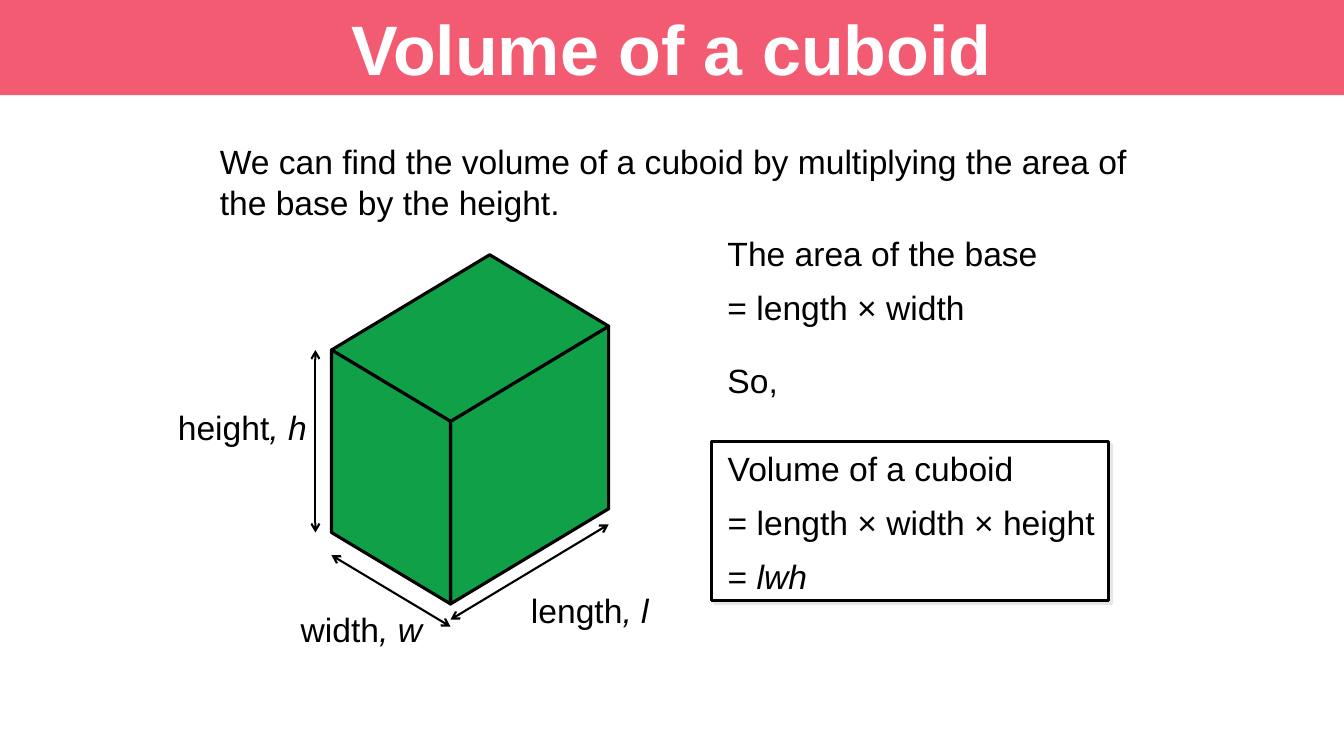
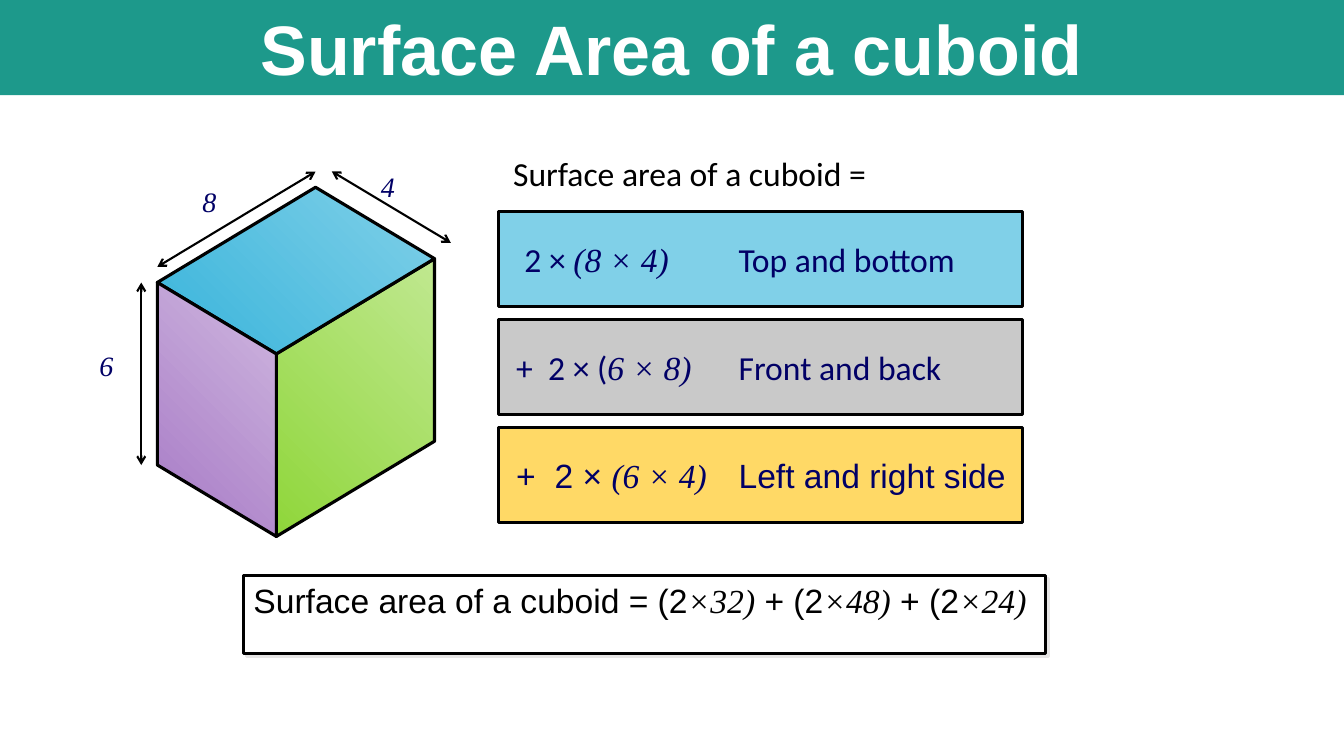
from dataclasses import dataclass, field

from lxml.etree import SubElement as Sub
from pptx import Presentation
from pptx.dml.color import RGBColor as Rgb
from pptx.enum.shapes import MSO_CONNECTOR as Link, MSO_SHAPE as Kind
from pptx.enum.text import MSO_ANCHOR as Anchor, MSO_AUTO_SIZE as Auto, PP_ALIGN as Align
from pptx.oxml.ns import qn
from pptx.shapes.base import BaseShape
from pptx.slide import Slide
from pptx.text.text import TextFrame
from pptx.util import Pt

BLACK = Rgb(0x00, 0x00, 0x00)
WHITE = Rgb(0xFF, 0xFF, 0xFF)
NAVY = Rgb(0x01, 0x00, 0x66)
ROSE = Rgb(0xF2, 0x5B, 0x72)
TEAL = Rgb(0x1D, 0x99, 0x8B)
GREEN = Rgb(0x10, 0xA0, 0x47)
SKY = Rgb(0x80, 0xD0, 0xE8)
BLUE = Rgb(0x39, 0xB4, 0xDB)
LIME = Rgb(0x8F, 0xD6, 0x3A)
PALE = Rgb(0xC0, 0xE8, 0x90)
PLUM = Rgb(0xA6, 0x79, 0xC5)
LILAC = Rgb(0xD0, 0xB8, 0xE0)
GREY = Rgb(0xC9, 0xC9, 0xC9)
GOLD = Rgb(0xFF, 0xD9, 0x66)
SHADE = "E7E6E6"

WIDE, HIGH, BAND = 960, 540, 68
ARIAL = {"name": "Arial", "size": Pt(24), "bold": False, "italic": False}
SLANT = ARIAL | {"italic": True}
SANS = ARIAL | {"name": "Calibri"}
MATH = SLANT | {"name": "Times New Roman"}
DIGIT = MATH | {"size": Pt(20)}
HEAD = ARIAL | {"size": Pt(50), "bold": True}

EDGE_W, EDGE_L, EDGE_H = (85, 51), (113, -68), (0, 130.4)

Point = tuple[float, float]
Area = tuple[float, float, float, float]


@dataclass
class Span:
    text: str
    style: dict = field(default_factory=lambda: ARIAL)
    ink: Rgb = BLACK


@dataclass
class Para:
    spans: list[Span]
    gap: float = 0
    tabs: tuple[float, ...] = ()


@dataclass
class Label:
    area: Area
    paras: list[Para]


@dataclass
class Arrow:
    start: Point
    edge: Point


@dataclass
class Row:
    fill: Rgb
    style: dict
    lead: str
    term: str
    side: str
    tab: float


@dataclass
class Solid:
    at: Point
    tones: list[tuple[Rgb, ...]]
    arrows: list[Arrow]


def add(*parts: Point) -> Point:
    return sum(p[0] for p in parts), sum(p[1] for p in parts)


def write(frame: TextFrame, paras: list[Para], align: Align = Align.LEFT,
          anchor: Anchor = Anchor.TOP, plain: bool = False, **pads: float) -> None:
    form = {"word_wrap": True, "auto_size": Auto.NONE, "vertical_anchor": anchor}
    form |= {f"margin_{side}": Pt(pad) for side, pad in pads.items()}
    for key, value in form.items():
        setattr(frame, key, value)
    for i, para in enumerate(paras):
        line = frame.add_paragraph() if i else frame.paragraphs[0]
        line.alignment, line.space_before = align, Pt(para.gap)
        props = line._p.get_or_add_pPr()
        if plain:
            props.set("marL", "0")
            props.set("indent", "0")
            Sub(props, qn("a:buNone"))
        if para.tabs:
            stops = Sub(props, qn("a:tabLst"))
            for tab in para.tabs:
                Sub(stops, qn("a:tab"), pos=str(Pt(tab)), algn="l")
        for span in para.spans:
            run = line.add_run()
            run.text = span.text
            for key, value in span.style.items():
                setattr(run.font, key, value)
            run.font.color.rgb = span.ink


def place(shape: BaseShape, area: Area) -> None:
    for key, value in zip(("left", "top", "width", "height"), area):
        setattr(shape, key, Pt(value))


def paint(shape: BaseShape, tones: tuple[Rgb, ...]) -> None:
    shape.shadow.inherit = False
    shape.line.color.rgb, shape.line.width = BLACK, Pt(2.25)
    if len(tones) == 1:
        shape.fill.solid()
        shape.fill.fore_color.rgb = tones[0]
        return
    shape.fill.gradient()
    shape.fill.gradient_angle = 45
    for stop, tone in zip(shape.fill.gradient_stops, tones):
        stop.color.rgb = tone


def start(deck: Presentation, title: str, fill: Rgb, area: Area, lead: Span) -> Slide:
    slide = deck.slides.add_slide(deck.slide_layouts[1])
    head, body = slide.placeholders
    place(head, (0, 0, WIDE, BAND))
    head.fill.solid()
    head.fill.fore_color.rgb = fill
    write(head.text_frame, [Para([Span(title, HEAD, WHITE)])],
          Align.CENTER, Anchor.MIDDLE)
    place(body, area)
    write(body.text_frame, [Para([lead])], plain=True)
    return slide


def draw_box(slide: Slide, area: Area, fill: Rgb, shade: bool = False) -> BaseShape:
    box = slide.shapes.add_shape(Kind.RECTANGLE, *map(Pt, area))
    paint(box, (fill,))
    if shade:
        effects = box._element.spPr.find(qn("a:effectLst"))
        drop = Sub(effects, qn("a:outerShdw"), dist=str(Pt(2.8)), dir="2700000",
                   algn="ctr", rotWithShape="0")
        Sub(drop, qn("a:srgbClr"), val=SHADE)
    return box


def draw_face(slide: Slide, at: Point, one: Point, two: Point,
              tones: tuple[Rgb, ...]) -> None:
    ring = [(Pt(x), Pt(y)) for x, y in
            (at, add(at, one), add(at, one, two), add(at, two))]
    pen = slide.shapes.build_freeform(*ring[0])
    pen.add_line_segments(ring[1:], close=True)
    paint(pen.convert_to_shape(), tones)


def draw_arrow(slide: Slide, at: Point, arrow: Arrow) -> None:
    tip = add(at, arrow.start)
    end = add(tip, arrow.edge)
    line = slide.shapes.add_connector(Link.STRAIGHT, *map(Pt, (*tip, *end)))
    line.line.color.rgb, line.line.width = BLACK, Pt(1.5)
    for name in ("headEnd", "tailEnd"):
        Sub(line.line._get_or_add_ln(), qn(f"a:{name}"), type="arrow")
    Sub(line._element.spPr, qn("a:effectLst"))


def draw_solid(slide: Slide, solid: Solid) -> None:
    front = add(solid.at, EDGE_W)
    sides = [(front, EDGE_L, EDGE_H), (solid.at, EDGE_L, EDGE_W),
             (solid.at, EDGE_W, EDGE_H)]
    for side, tones in zip(sides, solid.tones):
        draw_face(slide, *side, tones)
    for arrow in solid.arrows:
        draw_arrow(slide, solid.at, arrow)


def draw_label(slide: Slide, label: Label) -> None:
    box = slide.shapes.add_textbox(*map(Pt, label.area))
    write(box.text_frame, label.paras)


def draw_row(slide: Slide, row: Row, top: float) -> None:
    box = draw_box(slide, (355.9, top, 374.6, 68.2), row.fill)
    spans = [Span(row.lead, row.style, NAVY), Span(row.term, MATH, NAVY),
             Span("\t" + row.side, row.style, NAVY)]
    write(box.text_frame, [Para(spans, tabs=(row.tab, 159))],
          anchor=Anchor.MIDDLE, left=12.7, right=0)


def make_volume(deck: Presentation) -> None:
    lead = Span("We can find the volume of a cuboid by multiplying "
                "the area of the base by the height.")
    slide = start(deck, "Volume of a cuboid", ROSE, (149.8, 97.2, 664.6, 65.5), lead)
    draw_solid(slide, Solid((236.8, 250), [(GREEN,)] * 3, [
        Arrow((0, 146.6), EDGE_W),
        Arrow((85, 192.6), EDGE_L),
        Arrow((-11.5, 0), EDGE_H)]))
    for x, y, name, sign in ((120, 287.3, "height", "h"),
                             (372.2, 417.6, "length", "l"),
                             (207.7, 431.5, "width", "w")):
        draw_label(slide, Label((x, y, 115, 36.7),
                                [Para([Span(name), Span(f", {sign}", SLANT)])]))
    draw_label(slide, Label((512.6, 162.7, 260, 126), [
        Para([Span("The area of the base")]),
        Para([Span("= length × width")], 10),
        Para([Span("So,")], 23.5)]))
    box = draw_box(slide, (508.3, 315.2, 283.8, 113.8), WHITE, True)
    write(box.text_frame, [
        Para([Span("Volume of a cuboid")]),
        Para([Span("= length × width × height")], 10),
        Para([Span("= "), Span("lwh", SLANT)], 10)], left=11.5, top=4.4, right=0)


def make_surface(deck: Presentation) -> None:
    slide = start(deck, "Surface Area of a cuboid", TEAL, (359.3, 105.8, 325.4, 36),
                  Span("Surface area of a cuboid =", SANS))
    draw_solid(slide, Solid((112.4, 201.8), [(LIME, PALE), (BLUE, SKY), (PLUM, LILAC)], [
        Arrow((124.6, -79.4), EDGE_W),
        Arrow((0, -11.2), EDGE_L),
        Arrow((-11.5, 0), EDGE_H)]))
    for x, y, digit in ((64, 245.5, "6"), (137.5, 128.2, "8"), (265, 117.4, "4")):
        draw_label(slide, Label((x, y, 24.5, 31.7),
                                [Para([Span(digit, DIGIT, NAVY)])]))
    rows = [Row(SKY, SANS, "\t2 × ", "(8 × 4)", "Top and bottom", 6),
            Row(GREY, SANS, "+\t2 × (", "6 × 8)", "Front and back", 23),
            Row(GOLD, ARIAL, "+\t2 × ", "(6 × 4)", "Left and right side", 27.5)]
    for i, row in enumerate(rows):
        draw_row(slide, row, 151 + 77.1 * i)
    box = draw_box(slide, (174, 411, 572.7, 55.8), WHITE, True)
    spans = []
    for word, term in (("Surface area of a cuboid = (2", "×32)"),
                       (" + (2", "×48)"), (" + (2", "×24)")):
        spans += [Span(word), Span(term, MATH)]
    write(box.text_frame, [Para(spans)], right=0)


def main() -> None:
    deck = Presentation()
    deck.slide_width, deck.slide_height = Pt(WIDE), Pt(HIGH)
    make_volume(deck)
    make_surface(deck)
    deck.save("out.pptx")


if __name__ == "__main__":
    main()
